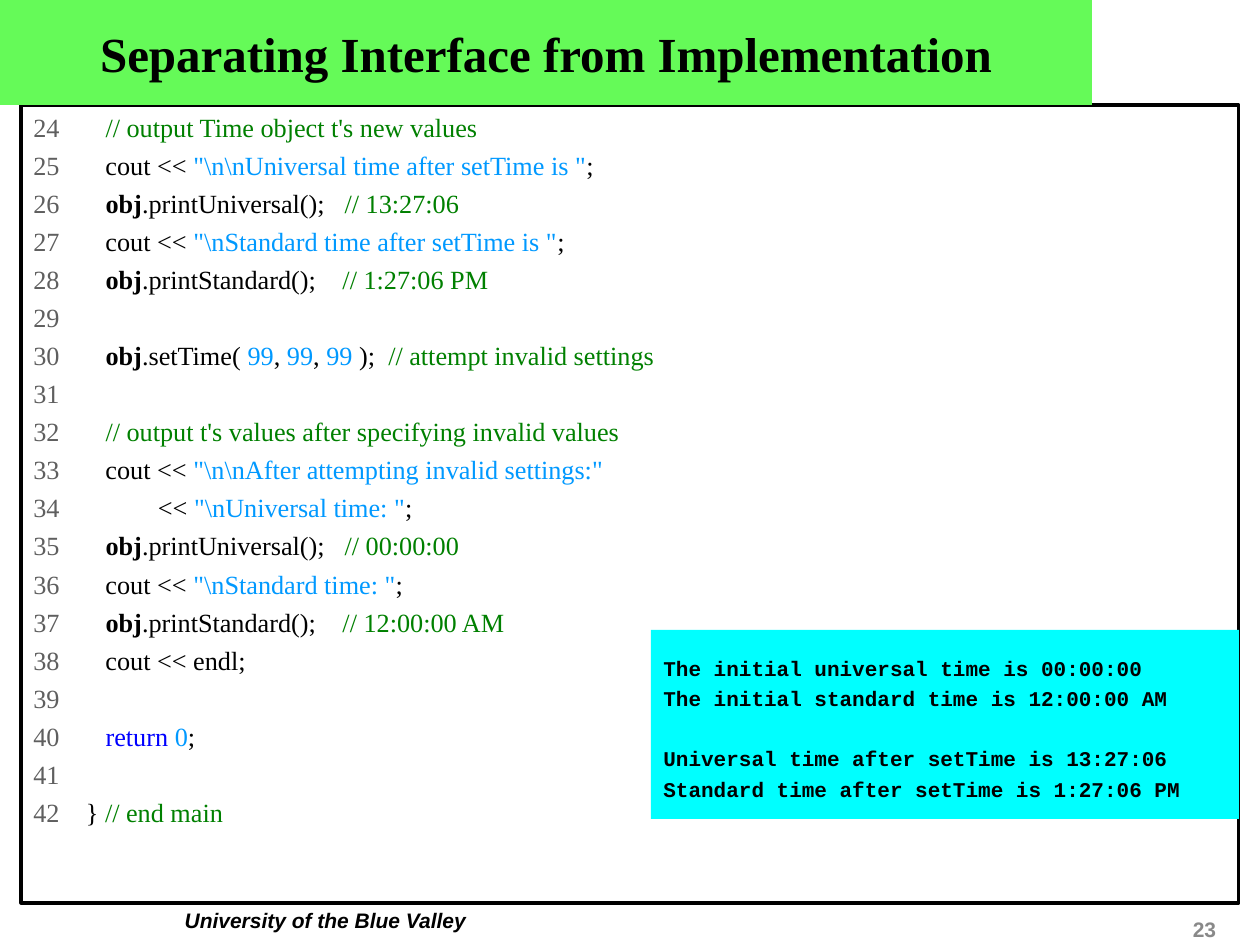
from pptx import Presentation
from pptx.dml.color import RGBColor
from pptx.enum.shapes import MSO_SHAPE
from pptx.enum.text import MSO_ANCHOR, PP_ALIGN
from pptx.util import Pt

TITLE = "Separating Interface from Implementation"
FOOTER = "University of the Blue Valley"
PAGE_NUMBER = "23"
FIRST_LINE = 24

COLORS = {
    "number": "5F5F5F", "plain": "000000", "object": "000000",
    "comment": "008000", "literal": "0099FF", "keyword": "0000FF",
}

INDENT = ("plain", "   ")
END = ("plain", ";")
COUT = ("plain", "cout << ")
OBJECT = ("object", "obj")
UNIVERSAL = ("plain", ".printUniversal();   ")
STANDARD = ("plain", ".printStandard();    ")
COMMA = ("plain", ", ")
INVALID = ("literal", "99")

CODE_LINES = [
    [INDENT, ("comment", "// output Time object t's new values")],
    [INDENT, COUT, ("literal", r'"\n\nUniversal time after setTime is "'), END],
    [INDENT, OBJECT, UNIVERSAL, ("comment", "// 13:27:06")],
    [INDENT, COUT, ("literal", r'"\nStandard time after setTime is "'), END],
    [INDENT, OBJECT, STANDARD, ("comment", "// 1:27:06 PM")],
    [],
    [INDENT, OBJECT, ("plain", ".setTime( "), INVALID, COMMA, INVALID, COMMA, INVALID,
     ("plain", " );  "), ("comment", "// attempt invalid settings")],
    [],
    [INDENT, ("comment", "// output t's values after specifying invalid values")],
    [INDENT, COUT, ("literal", r'"\n\nAfter attempting invalid settings:"')],
    [INDENT, ("plain", "        << "), ("literal", r'"\nUniversal time: "'), END],
    [INDENT, OBJECT, UNIVERSAL, ("comment", "// 00:00:00")],
    [INDENT, COUT, ("literal", r'"\nStandard time: "'), END],
    [INDENT, OBJECT, STANDARD, ("comment", "// 12:00:00 AM")],
    [INDENT, ("plain", "cout << endl;")],
    [],
    [INDENT, ("keyword", "return "), ("literal", "0"), END],
    [],
    [("plain", "} "), ("comment", "// end main")],
]

# Each group of output lines is set apart by one line of space.
OUTPUT_GROUPS = [
    ["The initial universal time is 00:00:00",
     "The initial standard time is 12:00:00 AM"],
    ["Universal time after setTime is 13:27:06",
     "Standard time after setTime is 1:27:06 PM"],
]
OUTPUT_GAP, GROUP_GAP = 3, 20
CODE_GAP, GUTTER = 3.75, 30


def color(value):
    return RGBColor.from_string(value)


def style(run, font, size, value="000000", bold=False, italic=False):
    run.font.name = font
    run.font.size = Pt(size)
    run.font.color.rgb = color(value)
    run.font.bold = bold
    run.font.italic = italic


def add_box(slide, left, top, width, height, fill=None, line=None):
    """Add a rectangle with left-aligned text at the top."""
    shape = slide.shapes.add_shape(
        MSO_SHAPE.RECTANGLE, Pt(left), Pt(top), Pt(width), Pt(height))
    shape.shadow.inherit = False
    if fill:
        shape.fill.solid()
        shape.fill.fore_color.rgb = color(fill)
    else:
        shape.fill.background()
    if line:
        shape.line.color.rgb = color(line)
        shape.line.width = Pt(1.75)
    else:
        shape.line.fill.background()
    text_frame = shape.text_frame
    text_frame.word_wrap = True
    text_frame.vertical_anchor = MSO_ANCHOR.TOP
    text_frame.paragraphs[0].alignment = PP_ALIGN.LEFT
    return shape


def add_label(slide, text, left, top, width, height, alignment, anchor, **font):
    text_box = slide.shapes.add_textbox(Pt(left), Pt(top), Pt(width), Pt(height))
    text_frame = text_box.text_frame
    text_frame.word_wrap = True
    text_frame.vertical_anchor = anchor
    text_frame.text = text
    text_frame.paragraphs[0].alignment = alignment
    style(text_frame.paragraphs[0].runs[0], "Arial", 12, bold=True, **font)


def next_paragraph(text_frame, index, space_before):
    paragraph = text_frame.add_paragraph() if index else text_frame.paragraphs[0]
    paragraph.alignment = PP_ALIGN.LEFT
    paragraph.space_before = Pt(space_before)
    return paragraph


def add_code(slide):
    text_frame = add_box(slide, 12, 60, 696, 456, line="000000").text_frame
    for index, tokens in enumerate(CODE_LINES):
        paragraph = next_paragraph(text_frame, index, CODE_GAP)
        properties = paragraph._p.get_or_add_pPr()
        properties.set("marL", str(Pt(GUTTER)))
        properties.set("indent", str(-Pt(GUTTER)))
        number = str(FIRST_LINE + index) + ("\t" if tokens else "")
        for kind, text in [("number", number)] + tokens:
            run = paragraph.add_run()
            run.text = text
            style(run, "Times New Roman", 15, COLORS[kind], bold=kind == "object")


def add_output(slide):
    text_frame = add_box(slide, 372, 360, 336, 108, fill="00FFFF").text_frame
    text_frame.margin_top = text_frame.margin_bottom = Pt(14.4)
    index = 0
    for group in OUTPUT_GROUPS:
        for position, text in enumerate(group):
            gap = GROUP_GAP if index and position == 0 else OUTPUT_GAP
            paragraph = next_paragraph(text_frame, index, gap)
            paragraph.text = text
            style(paragraph.runs[0], "Courier New", 12, bold=True)
            index += 1


def add_title(slide):
    text_frame = add_box(slide, 0, 0, 624, 60, fill="65FA58").text_frame
    text_frame.vertical_anchor = MSO_ANCHOR.MIDDLE
    text_frame.text = TITLE
    paragraph = text_frame.paragraphs[0]
    paragraph.alignment = PP_ALIGN.CENTER
    style(paragraph.runs[0], "Times New Roman", 28, bold=True)


def main():
    presentation = Presentation()
    presentation.slide_width, presentation.slide_height = Pt(720), Pt(540)
    slide = presentation.slides.add_slide(presentation.slide_layouts[6])
    add_label(slide, FOOTER, 36, 515, 300, 21.6,
              PP_ALIGN.CENTER, MSO_ANCHOR.TOP, italic=True)
    add_code(slide)
    add_label(slide, PAGE_NUMBER, 648, 522, 54, 18,
              PP_ALIGN.RIGHT, MSO_ANCHOR.MIDDLE, value="898989")
    add_output(slide)
    add_title(slide)
    presentation.save("out.pptx")


if __name__ == "__main__":
    main()
